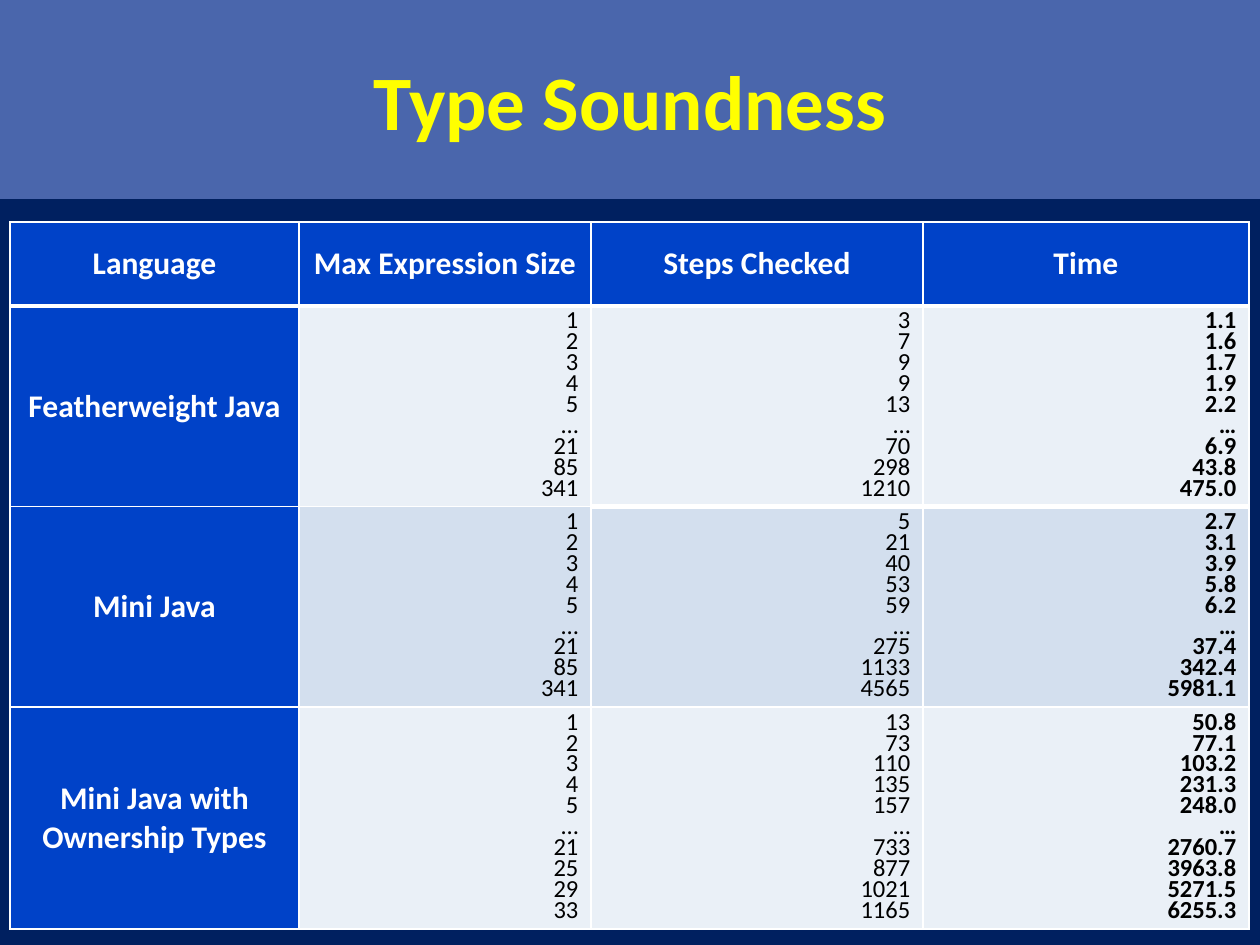
from lxml.etree import SubElement
from pptx import Presentation
from pptx.dml.color import RGBColor
from pptx.enum.text import MSO_ANCHOR as Anchor, PP_ALIGN as Align
from pptx.oxml.ns import qn
from pptx.util import Pt

PX = 914400 / 126  # EMU in one px
FONT = "Calibri"
NAVY, SLATE, BLUE = "002060", "4A66AC", "0042C8"
PALE, MIST = "EAF0F7", "D3DFEE"
WHITE, BLACK, YELLOW = "FFFFFF", "000000", "FFFF00"

HEADS = ["Language", "Max Expression Size", "Steps Checked", "Time"]
ROWS = [
    ["Featherweight Java",
     "1 2 3 4 5 … 21 85 341",
     "3 7 9 9 13 … 70 298 1210",
     "1.1 1.6 1.7 1.9 2.2 … 6.9 43.8 475.0"],
    ["Mini Java",
     "1 2 3 4 5 … 21 85 341",
     "5 21 40 53 59 … 275 1133 4565",
     "2.7 3.1 3.9 5.8 6.2 … 37.4 342.4 5981.1"],
    ["Mini Java with Ownership Types",
     "1 2 3 4 5 … 21 25 29 33",
     "13 73 110 135 157 … 733 877 1021 1165",
     "50.8 77.1 103.2 231.3 248.0 … 2760.7 3963.8 5271.5 6255.3"],
]
WIDTHS = [289, 292, 332, 326]
HEIGHTS = [84, 200, 200, 222]


def px(n):
    return round(n * PX)


def rgb(code):
    return RGBColor.from_string(code)


def paint(part, code):
    part.fill.solid()
    part.fill.fore_color.rgb = rgb(code)


def style(para, size, color, bold, align):
    para.alignment = align
    font = para.font
    font.name, font.size, font.bold = FONT, Pt(size), bold
    font.color.rgb = rgb(color)


def edge(cell, top, base):
    """Draw the four white borders; top and base are widths in points."""
    props = cell._tc.get_or_add_tcPr()
    for side, width in (("L", 1), ("R", 1), ("T", top), ("B", base)):
        line = SubElement(props, qn("a:ln" + side), w=str(Pt(width)))
        fill = SubElement(line, qn("a:solidFill"))
        SubElement(fill, qn("a:srgbClr"), val=WHITE)


def label(cell, text):
    cell.text = text
    cell.vertical_anchor = Anchor.MIDDLE
    paint(cell, BLUE)
    style(cell.text_frame.paragraphs[0], 18, WHITE, True, Align.CENTER)


def values(cell, text, shade, bold):
    cell.text = "\n".join(text.split())
    paint(cell, shade)
    for para in cell.text_frame.paragraphs:
        para.line_spacing = 0.7
        style(para, 14, BLACK, bold, Align.RIGHT)


def add_title(slide, x, y, w, h):
    title = slide.shapes.title
    title.left, title.top, title.width, title.height = map(px, (x, y, w, h))
    paint(title, SLATE)
    title.text_frame.text = "Type Soundness"
    title.text_frame.vertical_anchor = Anchor.MIDDLE
    style(title.text_frame.paragraphs[0], 44, YELLOW, True, Align.CENTER)


def add_grid(slide, x, y):
    data = [HEADS] + ROWS
    box = map(px, (x, y, sum(WIDTHS), sum(HEIGHTS)))
    table = slide.shapes.add_table(len(data), len(HEADS), *box).table
    for col, width in zip(table.columns, WIDTHS):
        col.width = px(width)
    for row, height in zip(table.rows, HEIGHTS):
        row.height = px(height)
    for r, texts in enumerate(data):
        for c, text in enumerate(texts):
            cell = table.cell(r, c)
            # Thick rules: below the heads, and below the first results
            thick = {0} if c < 2 else {0, 1}
            edge(cell, 3 if r - 1 in thick else 1, 3 if r in thick else 1)
            if r == 0 or c == 0:
                label(cell, text)
            else:
                values(cell, text, PALE if r % 2 else MIST, c == 3)


def main():
    deck = Presentation()
    deck.slide_width, deck.slide_height = px(1260), px(945)
    slide = deck.slides.add_slide(deck.slide_layouts[5])
    paint(slide.background, NAVY)
    add_title(slide, 0, 0, 1260, 199)
    add_grid(slide, 10, 222)
    deck.save("out.pptx")


if __name__ == "__main__":
    main()
